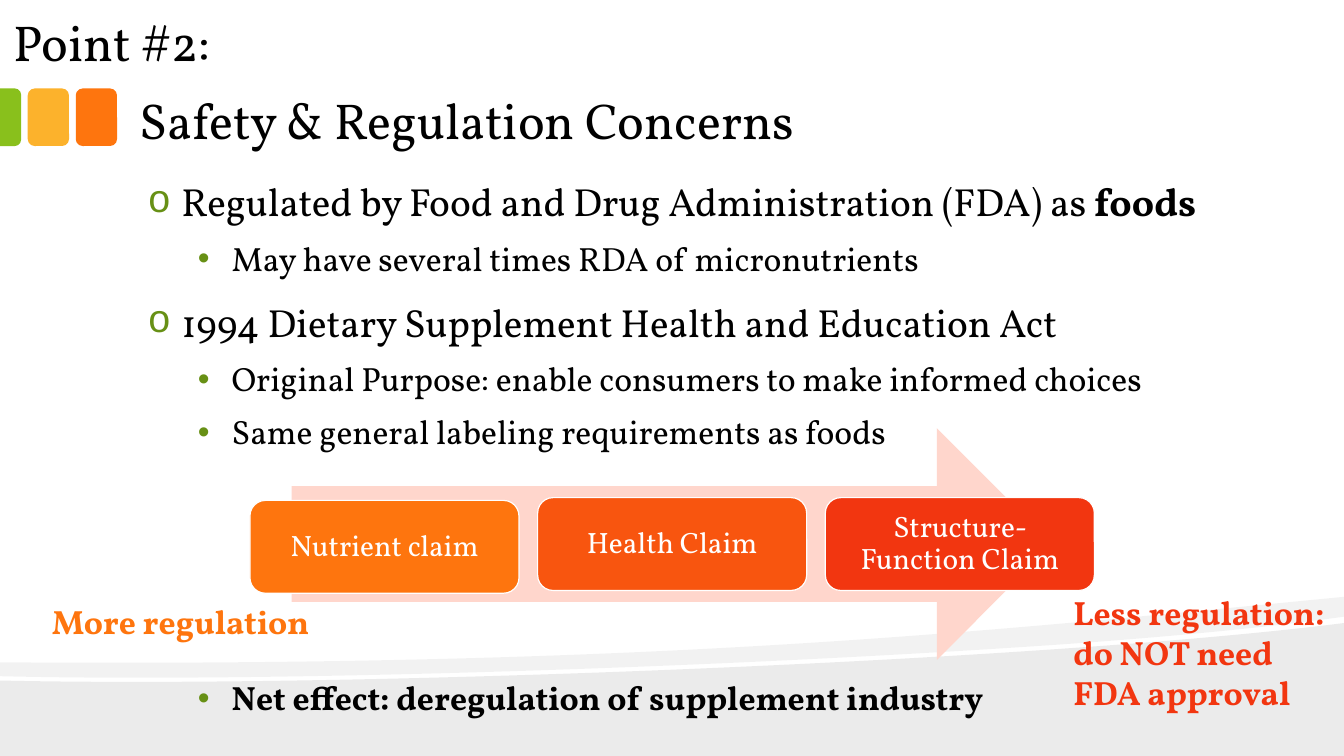
"""Slide on safety and regulation concerns of dietary supplements."""
from lxml import etree
from pptx import Presentation
from pptx.dml.color import RGBColor
from pptx.enum import shapes, text
from pptx.oxml import ns
from pptx.util import Cm, Pt

HUES = {"black": "000000", "white": "FFFFFF", "orange": "FE750E",
        "amber": "FCB22C", "green": "89C01C", "leaf": "679015",
        "mid": "F8550F", "red": "F23610", "pink": "FFD6CC"}
KIND = shapes.MSO_SHAPE
ANCHOR = text.MSO_ANCHOR


def paint(shape, hue, line=None):
    """Give a shape a flat fill and an optional outline."""
    shape.shadow.inherit = False
    shape.fill.solid()
    shape.fill.fore_color.rgb = RGBColor.from_string(HUES[hue])
    if line:
        shape.line.color.rgb = RGBColor.from_string(HUES[line])
        shape.line.width = Pt(0.85)
    else:
        shape.line.fill.background()


def write(shape, words, size, hue="black", bold=False, pad=(0.33, 0.18),
          anchor=ANCHOR.BOTTOM, align=text.PP_ALIGN.LEFT):
    """Fill a text frame with one styled paragraph."""
    frame = shape.text_frame
    frame.text = words
    frame.word_wrap = True
    frame.auto_size = text.MSO_AUTO_SIZE.NONE
    frame.vertical_anchor = anchor
    frame.margin_left = frame.margin_right = Cm(pad[0])
    frame.margin_top = frame.margin_bottom = Cm(pad[1])
    para = frame.paragraphs[0]
    para.alignment = align
    font = para.runs[0].font
    font.name, font.size, font.bold = "Vollkorn", Pt(size), bold
    font.color.rgb = RGBColor.from_string(HUES[hue])


prs = Presentation()
prs.slide_width, prs.slide_height = Cm(33.87), Cm(19.05)
slide = prs.slides.add_slide(prs.slide_layouts[5])
items = slide.shapes

# Each wave lists its points; a curve takes three points from its index on.
waves = [
    (8, [0], [(0, 17.15), (8.94, 17.35), (26.47, 16.64), (33.87, 15.7),
              (33.87, 19.05), (0, 19.05)]),
    (5, [0, 4, 7], [(0, 16.69), (16.56, 16.81), (24.66, 15.93), (33.87, 15.04),
                    (33.87, 15.54), (31.88, 15.82), (29.18, 16.08), (26.14, 16.28),
                    (17.73, 16.84), (6.55, 17.2), (0, 17.04)]),
]
for alpha, curves, dots in waves:
    dots = [(Cm(x), Cm(y)) for x, y in dots]
    pen = items.build_freeform(*dots[0])
    pen.add_line_segments(dots[1:], close=True)
    wave = pen.convert_to_shape()
    paint(wave, "black")
    tint = wave._element.spPr.find(ns.qn("a:solidFill"))[0]
    etree.SubElement(tint, ns.qn("a:alpha"), val=str(alpha * 1000))
    lines = list(wave._element.iter(ns.qn("a:lnTo")))
    for first in curves:
        bend = etree.Element(ns.qn("a:cubicBezTo"))
        lines[first].addprevious(bend)
        for line in lines[first:first + 3]:
            bend.append(line[0])
            line.getparent().remove(line)

for left, hue in [(1.91, "orange"), (0.7, "amber")]:
    tab = items.add_shape(KIND.ROUNDED_RECTANGLE, Cm(left), Cm(2.23), Cm(1.04), Cm(1.45))
    paint(tab, hue)
tab = items.add_shape(KIND.ROUND_2_SAME_RECTANGLE, Cm(-0.46), Cm(2.69), Cm(1.45), Cm(0.53))
tab.rotation = 90
tab.adjustments[0] = 0.29
paint(tab, "green")

title = items.title
title.left, title.top, title.width, title.height = Cm(0), Cm(0.28), Cm(29), Cm(1.7)
write(title, "Point #2:", 36)
head = items.add_textbox(Cm(3.18), Cm(1.6), Cm(23.5), Cm(2.34))
write(head, "Safety & Regulation Concerns", 36)

points = [
    (0, 0, "Regulated by Food and Drug Administration (FDA) as ", "foods"),
    (1, 12, "May have several times RDA of micronutrients", ""),
    (0, 18, "1994 Dietary Supplement Health and Education Act", ""),
    (1, 12, "Original Purpose: enable consumers to make informed choices", ""),
    (1, 12, "Same general labeling requirements as foods", ""),
    (1, 164, "", "Net effect: deregulation of supplement industry"),
]
body = items.add_textbox(Cm(3.39), Cm(4.43), Cm(29), Cm(14.6))
frame = body.text_frame
frame.word_wrap = True
frame.margin_left = frame.margin_right = Cm(0.33)
frame.margin_top = frame.margin_bottom = Cm(0.18)
for row, (level, gap, plain, strong) in enumerate(points):
    para = frame.add_paragraph() if row else frame.paragraphs[0]
    para.level = level
    para.line_spacing = 0.9
    para.space_before = Pt(gap)
    props = para._p.get_or_add_pPr()
    props.set("marL", str(Cm((0.85, 2.12)[level])))
    props.set("indent", str(Cm(-0.85)))
    tint = etree.SubElement(props, ns.qn("a:buClr"))
    etree.SubElement(tint, ns.qn("a:srgbClr"), val=HUES["leaf"])
    face = ("Courier New", "Arial")[level]
    etree.SubElement(props, ns.qn("a:buFont"), typeface=face)
    etree.SubElement(props, ns.qn("a:buChar"), char="o•"[level])
    for words, bold in [(plain, False), (strong, True)]:
        if words:
            run = para.add_run()
            run.text = words
            run.font.name, run.font.bold = "Vollkorn", bold
            run.font.size = Pt((28, 24)[level])
            run.font.color.rgb = RGBColor.from_string(HUES["black"])

arrow = items.add_shape(KIND.RIGHT_ARROW, Cm(7.35), Cm(10.79), Cm(19.18), Cm(5.84))
paint(arrow, "pink")
claims = [("Nutrient claim", "orange", 12.61), ("Health Claim", "mid", 12.54),
          ("Structure-Function Claim", "red", 12.54)]
for col, (words, hue, top) in enumerate(claims):
    claim = items.add_shape(KIND.ROUNDED_RECTANGLE, Cm(6.3 + 7.25 * col), Cm(top),
                            Cm(6.78), Cm(2.34))
    paint(claim, hue, "white")
    write(claim, words, 21, "white", pad=(0.25, 0.25), anchor=ANCHOR.MIDDLE,
          align=text.PP_ALIGN.CENTER)
    claim.text_frame.paragraphs[0].line_spacing = 0.9

notes = [("Less regulation: do NOT need FDA approval", "red", 26.8, 14.78, 6.86, 4.2),
         ("More regulation", "orange", 1.06, 15.01, 8.05, 1.27)]
for words, hue, left, top, width, height in notes:
    note = items.add_textbox(Cm(left), Cm(top), Cm(width), Cm(height))
    write(note, words, 24, hue, True, (0.25, 0.13), ANCHOR.TOP)

prs.save("out.pptx")
